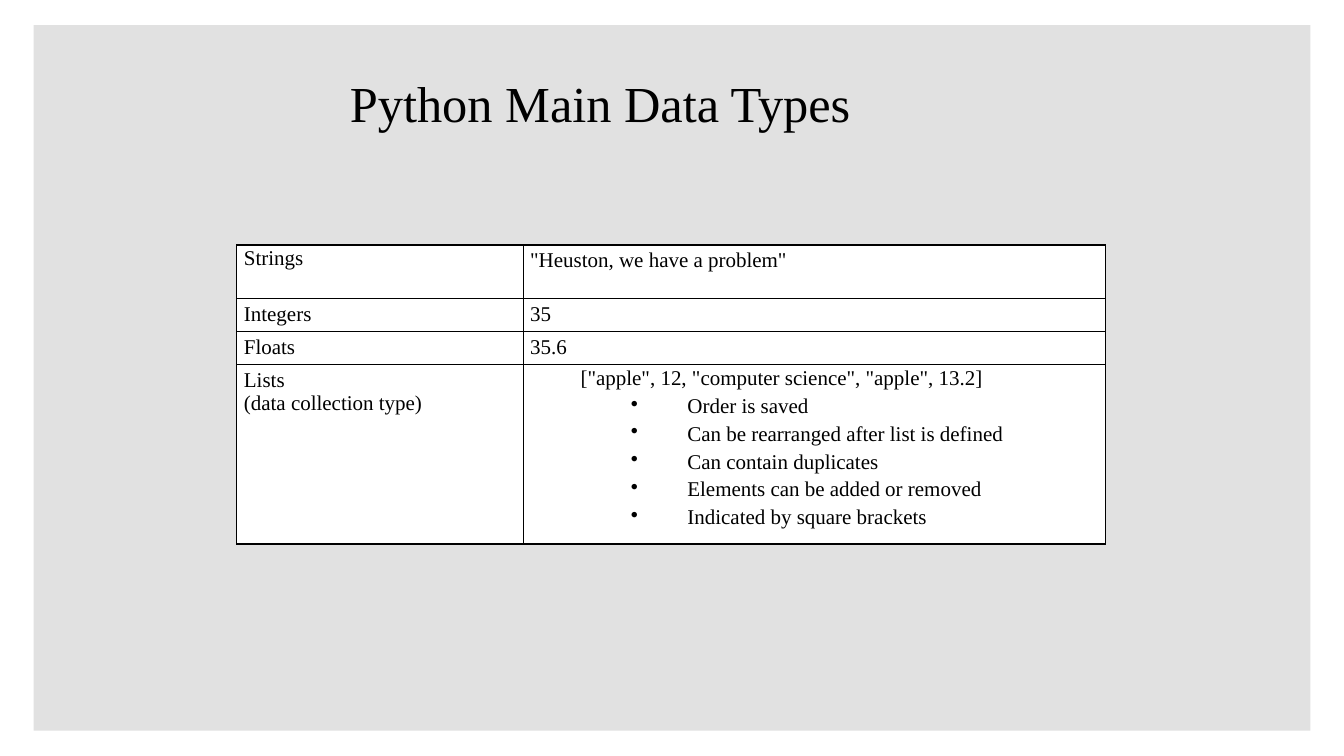
import pptx
import pptx.dml.color
import pptx.enum.shapes
import pptx.enum.text
import pptx.oxml
import pptx.oxml.ns
import pptx.util

COLS, ROWS = 160, 90
CELL = pptx.util.Inches(1 / 12)
COLORS = {"panel": "E1E1E1", "text": "000000", "border": "000000", "cell": "FFFFFF"}
FONT = "Times New Roman"

LEAD = dict(level=1, left=6, line=0.9, before=5)
BULLET = dict(level=2, left=18.72, indent=-6.72, line=0.9, before=5, bullet="•")

DATA_TYPES = [
    ([("Strings", dict(line=0.9, before=10))], [('"Heuston, we have a problem"', {})]),
    ([("Integers", {})], [("35", {})]),
    ([("Floats", {})], [("35.6", {})]),
    (
        [("Lists", {}), ("(data collection type)", {})],
        [
            ('["apple", 12, "computer science", "apple", 13.2]', LEAD),
            ("Order is saved", BULLET),
            ("Can be rearranged after list is defined", BULLET),
            ("Can contain duplicates", BULLET),
            ("Elements can be added or removed", BULLET),
            ("Indicated by square brackets", BULLET),
        ],
    ),
]


def grid(n):
    """Length of n grid cells in EMU."""
    return pptx.util.Emu(round(n * CELL))


def rgb(name):
    return pptx.dml.color.RGBColor.from_string(COLORS[name])


def write(p, text, size=15, color="text", align=None, level=0, left=None,
          indent=0, line=None, before=None, bullet=None):
    """Fill paragraph p with text; left and indent are in grid cells."""
    r = p.add_run()
    r.text = text
    r.font.name, r.font.size = FONT, pptx.util.Pt(size)
    r.font.color.rgb = rgb(color)
    p.level = level
    if align is not None:
        p.alignment = align
    if line is not None:
        p.line_spacing = line
    if before is not None:
        p.space_before = pptx.util.Pt(before)
    pPr = p._p.get_or_add_pPr()
    if left is not None:
        pPr.set("marL", str(grid(left)))
        pPr.set("indent", str(grid(indent)))
    if bullet:
        pPr.append(pptx.oxml.parse_xml(
            f'<a:buChar {pptx.oxml.ns.nsdecls("a")} char="{bullet}"/>'))


class Deck:
    def __init__(self):
        self.prs = pptx.Presentation()
        self.prs.slide_width, self.prs.slide_height = grid(COLS), grid(ROWS)
        self.s = self.prs.slides.add_slide(self.prs.slide_layouts[6])

    def panel(self, *box):
        sp = self.s.shapes.add_shape(
            pptx.enum.shapes.MSO_SHAPE.RECTANGLE, *map(grid, box))
        sp.shadow.inherit = False
        sp.fill.solid()
        sp.fill.fore_color.rgb = rgb("panel")
        sp.line.fill.background()

    def title(self, text, *box):
        tf = self.s.shapes.add_textbox(*map(grid, box)).text_frame
        tf.word_wrap = True
        tf.vertical_anchor = pptx.enum.text.MSO_ANCHOR.MIDDLE
        write(tf.paragraphs[0], text, size=36, align=pptx.enum.text.PP_ALIGN.CENTER)

    def table(self, rows, left, top, widths, heights):
        box = left, top, sum(widths), sum(heights)
        tbl = self.s.shapes.add_table(
            len(heights), len(widths), *map(grid, box)).table
        tbl.first_row = tbl.horz_banding = False
        for col, width in zip(tbl.columns, widths):
            col.width = grid(width)
        for row, height, contents in zip(tbl.rows, heights, rows):
            row.height = grid(height)
            for cell, paragraphs in zip(row.cells, contents):
                self.cell(cell, paragraphs)

    def cell(self, cell, paragraphs):
        cell.margin_left = cell.margin_right = pptx.util.Inches(0.07)
        cell.margin_top = cell.margin_bottom = pptx.util.Inches(0.04)
        tcPr = cell._tc.get_or_add_tcPr()
        for side in "LRTB":
            tcPr.append(pptx.oxml.parse_xml(
                f'<a:ln{side} {pptx.oxml.ns.nsdecls("a")} w="{pptx.util.Pt(1)}">'
                f'<a:solidFill><a:srgbClr val="{COLORS["border"]}"/></a:solidFill>'
                f'</a:ln{side}>'))
        cell.fill.solid()
        cell.fill.fore_color.rgb = rgb("cell")
        tf = cell.text_frame
        for i, (text, style) in enumerate(paragraphs):
            write(tf.add_paragraph() if i else tf.paragraphs[0], text, **style)


def main():
    deck = Deck()
    deck.panel(4, 3, COLS - 8, ROWS - 6)
    deck.title("Python Main Data Types", 8.16, 5.76, 126.6, 12.84)
    deck.table(DATA_TYPES, 28.2, 29.16,
               widths=[34.08, 69.36], heights=[6.36, 3.92, 3.92, 20.28])
    deck.prs.save("out.pptx")


if __name__ == "__main__":
    main()
